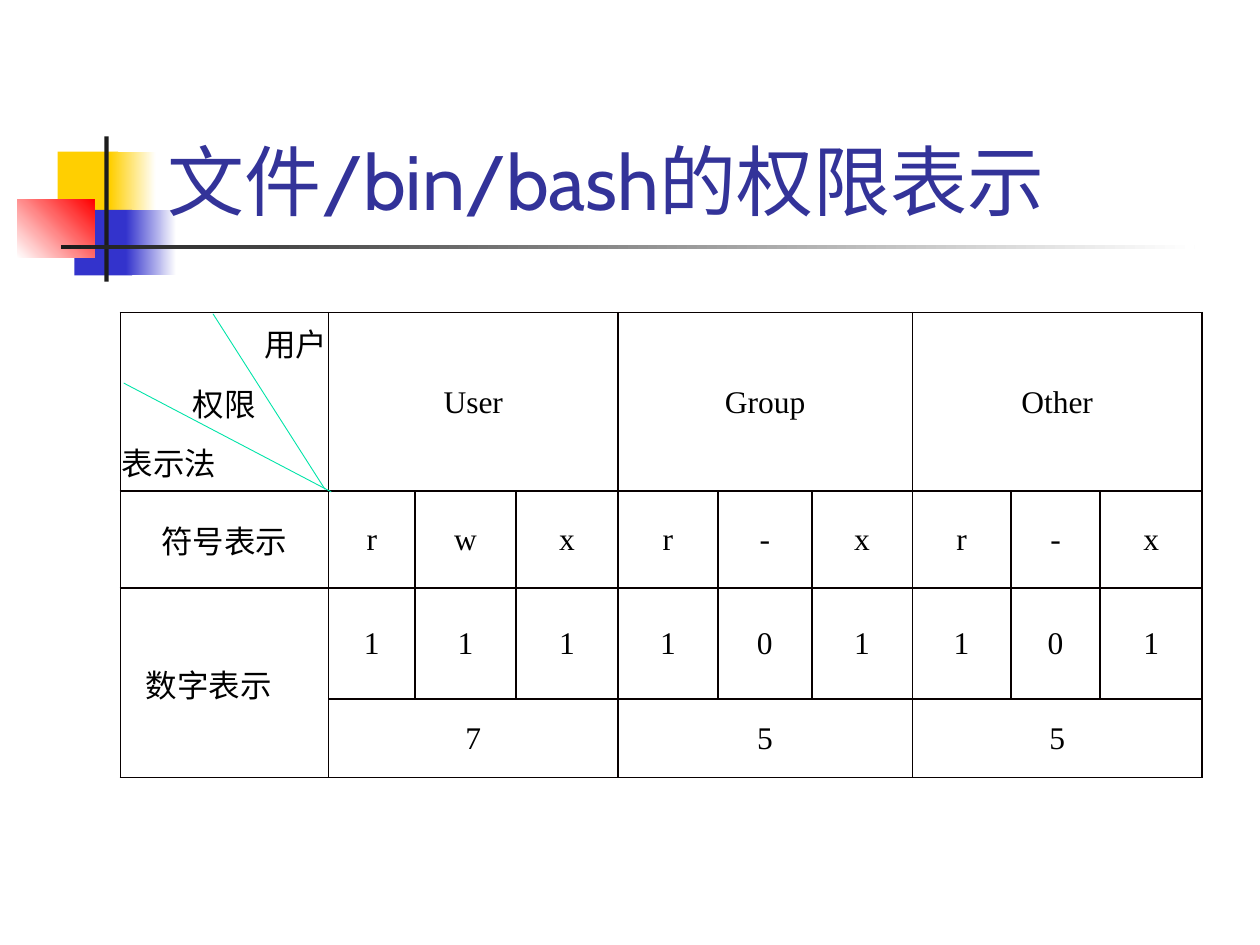
from lxml import etree
from pptx import Presentation
from pptx.dml.color import RGBColor
from pptx.enum.shapes import MSO_CONNECTOR, MSO_SHAPE
from pptx.enum.text import MSO_ANCHOR, PP_ALIGN
from pptx.oxml.ns import qn
from pptx.util import Pt

RECT, LINE = MSO_SHAPE.RECTANGLE, MSO_CONNECTOR.STRAIGHT
LEFT, MID, RIGHT = PP_ALIGN.LEFT, PP_ALIGN.CENTER, PP_ALIGN.RIGHT
HAN, LATIN = "Noto Sans CJK SC", "Times New Roman"
WHITE, DARK, RULE = "FFFFFF", "1C1C1C", "080000"
COLS = [119.1, 49.4, 57.7, 58.3, 57.1, 53.7, 57.4, 56.3, 51.1, 58.3]
ROWS = [34, 34, 34, 55.5, 63.3, 44.9]
USERS = [("User", "rwx", "111", "7"), ("Group", "r-x", "101", "5"),
         ("Other", "r-x", "101", "5")]


def rgb(code):
    return RGBColor.from_string(code)


def style(para, size, face, color):
    font = para.font
    font.size, font.name, font.color.rgb = Pt(size), face, rgb(color)
    props = para._p.get_or_add_pPr().find(qn("a:defRPr"))
    etree.SubElement(props, qn("a:ea"), typeface=HAN)


def bar(slide, x, y, w, h, color, end=None, angle=0):
    """Draw a borderless block, fading to the end colour if one is given."""
    shape = slide.shapes.add_shape(RECT, Pt(x), Pt(y), Pt(w), Pt(h))
    shape.shadow.inherit = False
    shape.line.fill.background()
    if end is None:
        shape.fill.solid()
        shape.fill.fore_color.rgb = rgb(color)
        return
    shape.fill.gradient()
    shape.fill.gradient_angle = angle
    for stop, code in zip(shape.fill.gradient_stops, (color, end)):
        stop.color.rgb = rgb(code)


def add_motif(slide, x, y):
    bar(slide, x + 23, y + 8.6, 34.5, 37.4, "FFCF01")
    bar(slide, x + 53, y + 8.6, 26, 37.4, "FFCF01", WHITE)
    bar(slide, x + 32.5, y + 42, 33, 37.4, "3333CC")
    bar(slide, x + 62, y + 42, 28.8, 37.4, "3333CC", WHITE)
    bar(slide, x, y + 36, 44, 33.4, WHITE, "FF0000", 45)
    bar(slide, x + 49.7, y, 2.5, 83, DARK)
    bar(slide, x + 24.7, y + 62, 648, 2.5, DARK, WHITE)


def add_title(slide, x, y, w, h, text):
    frame = slide.shapes.add_textbox(Pt(x), Pt(y), Pt(w), Pt(h)).text_frame
    frame.word_wrap = True
    frame.vertical_anchor = MSO_ANCHOR.BOTTOM
    frame.margin_left = frame.margin_right = Pt(5)
    frame.margin_top = frame.margin_bottom = Pt(3)
    para = frame.paragraphs[0]
    para.text = text
    style(para, 44, "Cabin", "333399")


def edge(cell, sides):
    """Rule the named sides (L, R, T, B) and leave the others bare."""
    props = cell._tc.get_or_add_tcPr()
    for side in "LRTB":
        line = etree.SubElement(props, qn("a:ln" + side), w=str(Pt(1)))
        if side in sides:
            fill = etree.SubElement(line, qn("a:solidFill"))
            etree.SubElement(fill, qn("a:srgbClr"), val=RULE)
        else:
            etree.SubElement(line, qn("a:noFill"))


def put(cell, text, face=LATIN, align=MID):
    para = cell.text_frame.paragraphs[0]
    para.text, para.alignment = text, align
    style(para, 18, face, "000000")


def add_table(slide, x, y):
    frame = slide.shapes.add_table(len(ROWS), len(COLS), Pt(x), Pt(y),
                                   Pt(sum(COLS)), Pt(sum(ROWS)))
    table = frame.table
    table.first_row = table.horz_banding = False
    for col, width in zip(table.columns, COLS):
        col.width = Pt(width)
    for row, height in zip(table.rows, ROWS):
        row.height = Pt(height)
    corner = {0: "LRT", 1: "LR", 2: "LRB"}
    for r in range(len(ROWS)):
        for c in range(len(COLS)):
            cell = table.cell(r, c)
            edge(cell, corner.get(r, "LRTB") if c == 0 else "LRTB")
            cell.fill.background()
            cell.vertical_anchor = MSO_ANCHOR.MIDDLE
            cell.margin_left = cell.margin_right = cell.margin_top = Pt(0.75)
            cell.margin_bottom = Pt(0)
            style(cell.text_frame.paragraphs[0], 18, LATIN, "000000")

    heads = [("用户", RIGHT), ("权限", MID), ("表示法", LEFT),
             ("符号表示", MID), ("数字表示", MID)]
    for r, (text, align) in enumerate(heads):
        put(table.cell(r, 0), text, HAN, align)
    table.cell(4, 0).merge(table.cell(5, 0))
    table.cell(4, 0).margin_right = Pt(18.75)

    for i, (user, signs, bits, digit) in enumerate(USERS):
        c = 1 + 3 * i
        table.cell(0, c).merge(table.cell(2, c + 2))
        table.cell(5, c).merge(table.cell(5, c + 2))
        put(table.cell(0, c), user)
        put(table.cell(5, c), digit)
        for k in range(3):
            put(table.cell(3, c + k), signs[k])
            put(table.cell(4, c + k), bits[k])


def add_rays(slide, x, y):
    """Split the corner cell at x, y with two slanted lines."""
    for x1, y1, x2, y2 in [(117, 101, 53, 0.7), (120.6, 102.5, 2, 40.3)]:
        ray = slide.shapes.add_connector(LINE, Pt(x + x1), Pt(y + y1),
                                         Pt(x + x2), Pt(y + y2))
        ray.line.width = Pt(0.5)
        ray.line.color.rgb = rgb("00E4A8")
        etree.SubElement(ray._element.spPr, qn("a:effectLst"))


def main():
    deck = Presentation()
    deck.slide_width, deck.slide_height = Pt(720), Pt(540)
    slide = deck.slides.add_slide(deck.slide_layouts[6])
    add_motif(slide, 10, 78)
    add_title(slide, 91, 16.5, 613.5, 115.5, "文件/bin/bash的权限表示")
    add_table(slide, 68.7, 178.6)
    add_rays(slide, 68.7, 178.6)
    deck.save("out.pptx")


if __name__ == "__main__":
    main()
